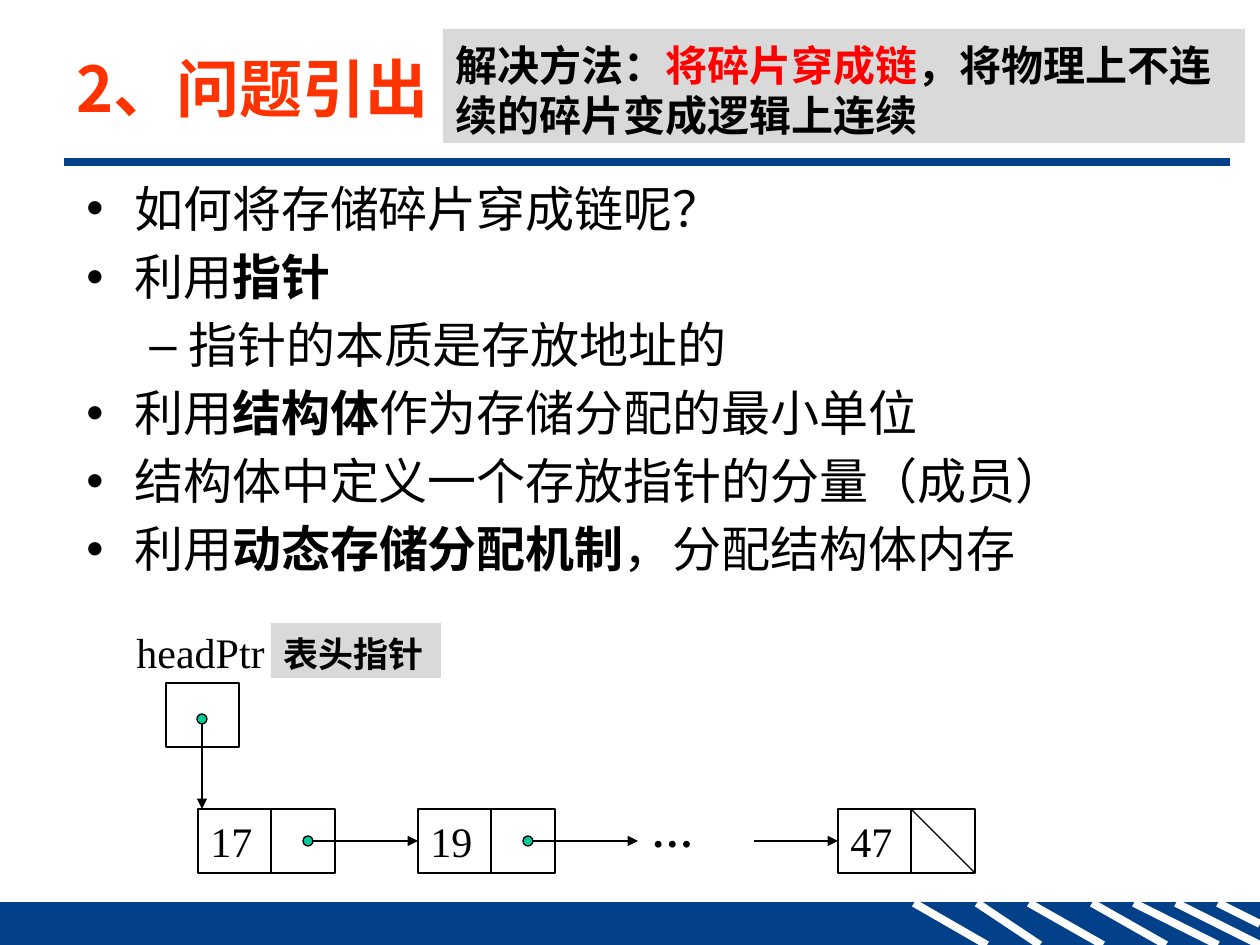
from dataclasses import dataclass

from lxml.etree import SubElement
from pptx import Presentation
from pptx.dml.color import RGBColor
from pptx.enum.shapes import MSO_CONNECTOR as Connector, MSO_SHAPE as Shape
from pptx.enum.text import MSO_ANCHOR as Anchor, PP_ALIGN as Align
from pptx.oxml.ns import qn
from pptx.util import Emu, Pt


@dataclass(frozen=True)
class Theme:
    black: str = "000000"
    white: str = "FFFFFF"
    navy: str = "024089"
    orange: str = "FF3300"
    red: str = "FF0000"
    gray: str = "D9D9D9"
    green: str = "00CC99"
    latin: str = "Arial"
    chinese: str = "Noto Sans CJK SC"
    serif: str = "Times New Roman"
    title: int = 36
    body: int = 28
    note: int = 24
    label: int = 20
    thin: float = 0.75
    thick: float = 4.5


def px(count):
    return Emu(round(count * 914400 / 126))


class SlideBuilder:
    def __init__(self, presentation, theme):
        self.theme = theme
        self.slide = presentation.slides.add_slide(presentation.slide_layouts[5])

    def style_run(self, run, size, latin, chinese, color, bold=False):
        font = run.font
        font.size, font.name, font.bold = Pt(size), latin, bold
        font.color.rgb = RGBColor.from_string(color)
        SubElement(run._r.get_or_add_rPr(), qn("a:ea"), typeface=chinese)

    def frame(self, shape, anchor):
        text_frame = shape.text_frame
        text_frame.word_wrap = True
        text_frame.vertical_anchor = anchor
        text_frame.margin_left = text_frame.margin_right = px(12.6)
        text_frame.margin_top = text_frame.margin_bottom = px(6.3)
        return text_frame

    def title(self, text, left, top, width, height):
        shape = self.slide.shapes.title
        shape.left, shape.top = px(left), px(top)
        shape.width, shape.height = px(width), px(height)
        text_frame = self.frame(shape, Anchor.MIDDLE)
        text_frame.text = text
        paragraph = text_frame.paragraphs[0]
        paragraph.alignment = Align.LEFT
        theme = self.theme
        self.style_run(paragraph.runs[0], theme.title, theme.chinese, theme.chinese, theme.orange, True)

    def shape(self, kind, left, top, width, height, fill=None, line=None):
        shape = self.slide.shapes.add_shape(kind, px(left), px(top), px(width), px(height))
        shape.shadow.inherit = False
        if fill:
            shape.fill.solid()
            shape.fill.fore_color.rgb = RGBColor.from_string(fill)
        else:
            shape.fill.background()
        if line:
            shape.line.color.rgb = RGBColor.from_string(line)
            shape.line.width = Pt(self.theme.thin)
        else:
            shape.line.fill.background()
        return shape

    def dot(self, left, top):
        self.shape(Shape.OVAL, left, top, 10, 10, self.theme.green, self.theme.black)

    def line(self, start, end, color, weight, arrow=False):
        connector = self.slide.shapes.add_connector(
            Connector.STRAIGHT, *[px(value) for value in (*start, *end)])
        connector.line.color.rgb = RGBColor.from_string(color)
        connector.line.width = Pt(weight)
        if arrow:
            SubElement(connector.line._get_or_add_ln(), qn("a:tailEnd"), type="triangle")
        SubElement(connector._element.spPr, qn("a:effectLst"))

    def link(self, start, end, arrow=True):
        self.line(start, end, self.theme.black, self.theme.thin, arrow)

    def text_box(self, left, top, width, height):
        return self.slide.shapes.add_textbox(px(left), px(top), px(width), px(height))

    def serif_text(self, shape, text, bold=False):
        text_frame = self.frame(shape, Anchor.MIDDLE)
        text_frame.text = text
        paragraph = text_frame.paragraphs[0]
        paragraph.alignment = Align.LEFT
        theme = self.theme
        self.style_run(paragraph.runs[0], theme.note, theme.serif, theme.serif, theme.black, bold)

    def chinese_frame(self, shape, size):
        text_frame = self.frame(shape, Anchor.TOP)
        text_frame.margin_top += Pt(size * 0.1)
        return text_frame

    def chinese_runs(self, paragraph, size, runs):
        paragraph.alignment = Align.LEFT
        paragraph.line_spacing = Pt(round(size * 1.19, 1))
        for text, bold, color in runs:
            run = paragraph.add_run()
            run.text = text
            self.style_run(run, size, self.theme.latin, self.theme.chinese, color, bold)

    def callout(self, left, top, width, height, size, runs):
        shape = self.shape(Shape.RECTANGLE, left, top, width, height, self.theme.gray)
        text_frame = self.chinese_frame(shape, size)
        self.chinese_runs(text_frame.paragraphs[0], size,
                          [(text, True, color) for text, color in runs])

    def bullets(self, left, top, width, height, items):
        size = self.theme.body
        text_frame = self.chinese_frame(self.text_box(left, top, width, height), size)
        for index, (level, parts) in enumerate(items):
            paragraph = text_frame.add_paragraph() if index else text_frame.paragraphs[0]
            margin, indent, mark = ((48, -48, "•"), (102, -39, "–"))[level]
            paragraph.level = level
            properties = paragraph._p.get_or_add_pPr()
            properties.set("marL", str(px(margin)))
            properties.set("indent", str(px(indent)))
            SubElement(properties, qn("a:buFont"), typeface=self.theme.latin)
            SubElement(properties, qn("a:buChar"), char=mark)
            if index:
                paragraph.space_before = Pt(size * 0.2)
            self.chinese_runs(paragraph, size,
                              [(text, bold, self.theme.black) for text, bold in parts])

    def node(self, left, top, value):
        box = self.shape(Shape.RECTANGLE, left, top, 137, 64, line=self.theme.black)
        self.serif_text(box, value)
        self.link((left + 73, top), (left + 73, top + 64), arrow=False)


def main():
    presentation = Presentation()
    presentation.slide_width, presentation.slide_height = px(1260), px(945)
    theme = Theme()
    builder = SlideBuilder(presentation, theme)

    builder.shape(Shape.RECTANGLE, 0, 903, 1260, 42, theme.navy, theme.navy)
    stripes = ((914, 987), (977, 1040), (1029, 1103), (1092, 1166), (1134, 1218), (1176, 1260))
    for start, end in stripes:
        builder.line((start, 903), (end, 945), theme.white, theme.thick)
    builder.line((1218, 903), (1260, 924), theme.white, theme.thick)
    builder.line((64, 162), (1230, 162), theme.navy, theme.thick)

    builder.title("2、问题引出", 64, 37, 1170, 100)
    builder.bullets(74, 168, 1071, 635, [
        (0, [("如何将存储碎片穿成链呢？", False)]),
        (0, [("利用", False), ("指针", True)]),
        (1, [("指针的本质是存放地址的", False)]),
        (0, [("利用", False), ("结构体", True), ("作为存储分配的最小单位", False)]),
        (0, [("结构体中定义一个存放指针的分量（成员）", False)]),
        (0, [("利用", False), ("动态存储分配机制", True), ("，分配结构体内存", False)]),
    ])

    node_top, link_y = 809, 841
    for left, value in ((198, "17"), (418, "19"), (838, "47")):
        builder.node(left, node_top, value)
    for left in (198, 418):
        builder.link((left + 115, link_y), (left + 220, link_y))
        builder.dot(left + 105, link_y - 5)
    builder.serif_text(builder.text_box(639, 799, 95, 63), "…", bold=True)
    builder.link((754, link_y), (838, link_y))
    builder.link((911, node_top), (975, node_top + 64), arrow=False)

    builder.shape(Shape.RECTANGLE, 166, 683, 73, 64, theme.white, theme.black)
    builder.serif_text(builder.text_box(124, 620, 168, 63), "headPtr")
    builder.dot(197, 714)
    builder.link((202, 724), (202, node_top))

    builder.callout(271, 623, 170, 55, theme.label, [("表头指针", theme.black)])
    builder.callout(443, 29, 802, 114, theme.note, [
        ("解决方法：", theme.black),
        ("将碎片穿成链", theme.red),
        ("，将物理上不连续的碎片变成逻辑上连续", theme.black),
    ])
    presentation.save("out.pptx")


if __name__ == "__main__":
    main()
